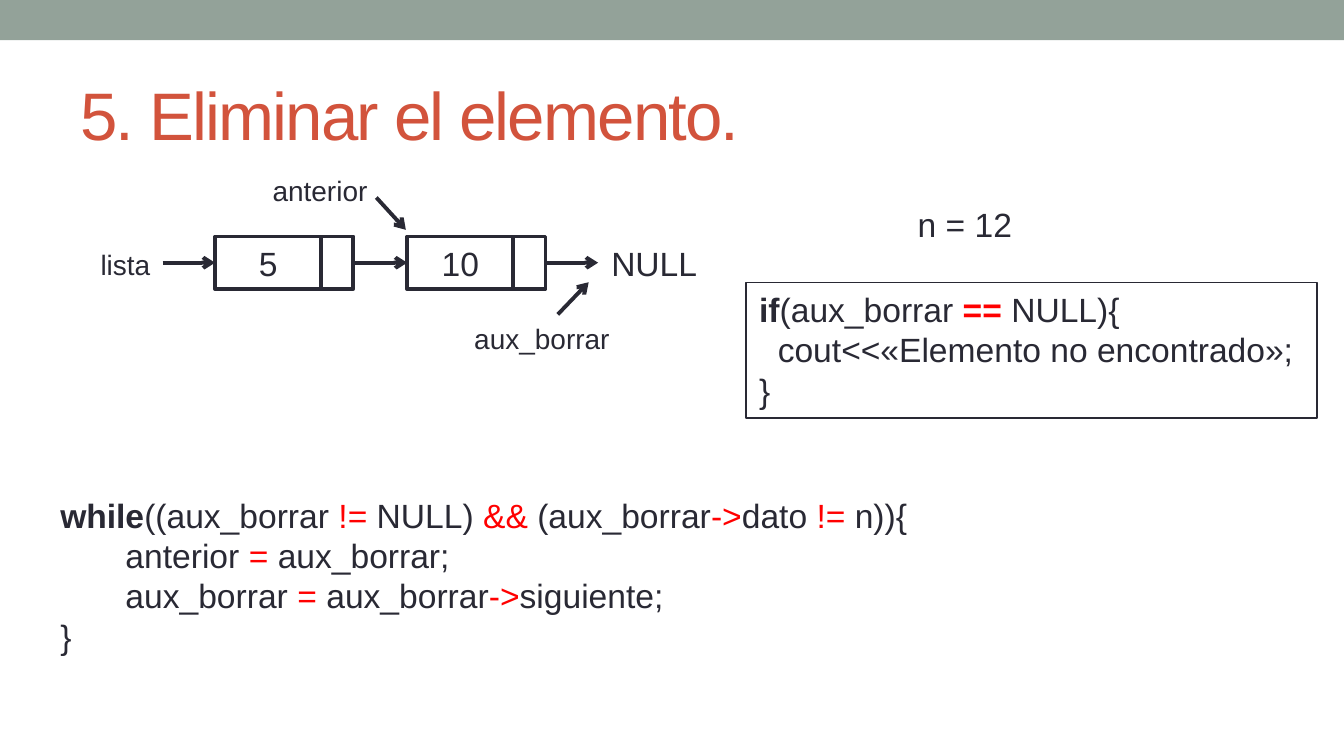
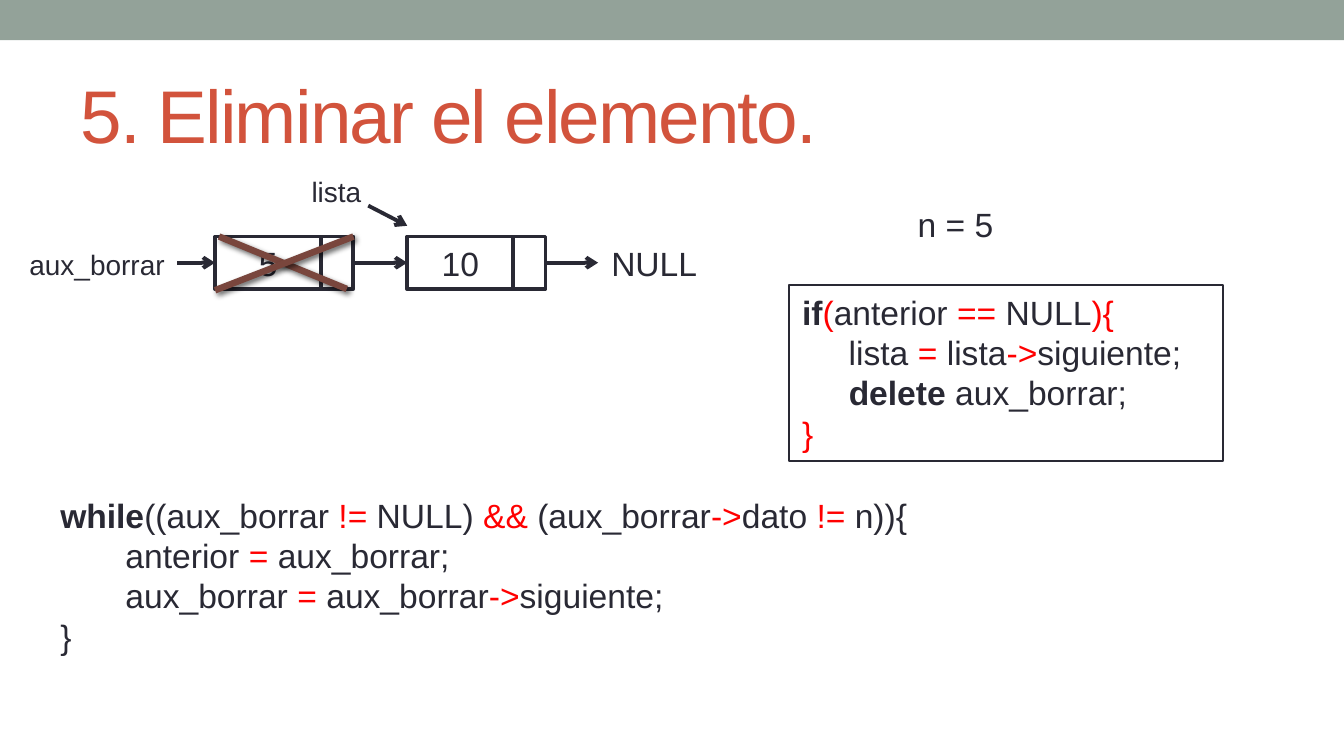
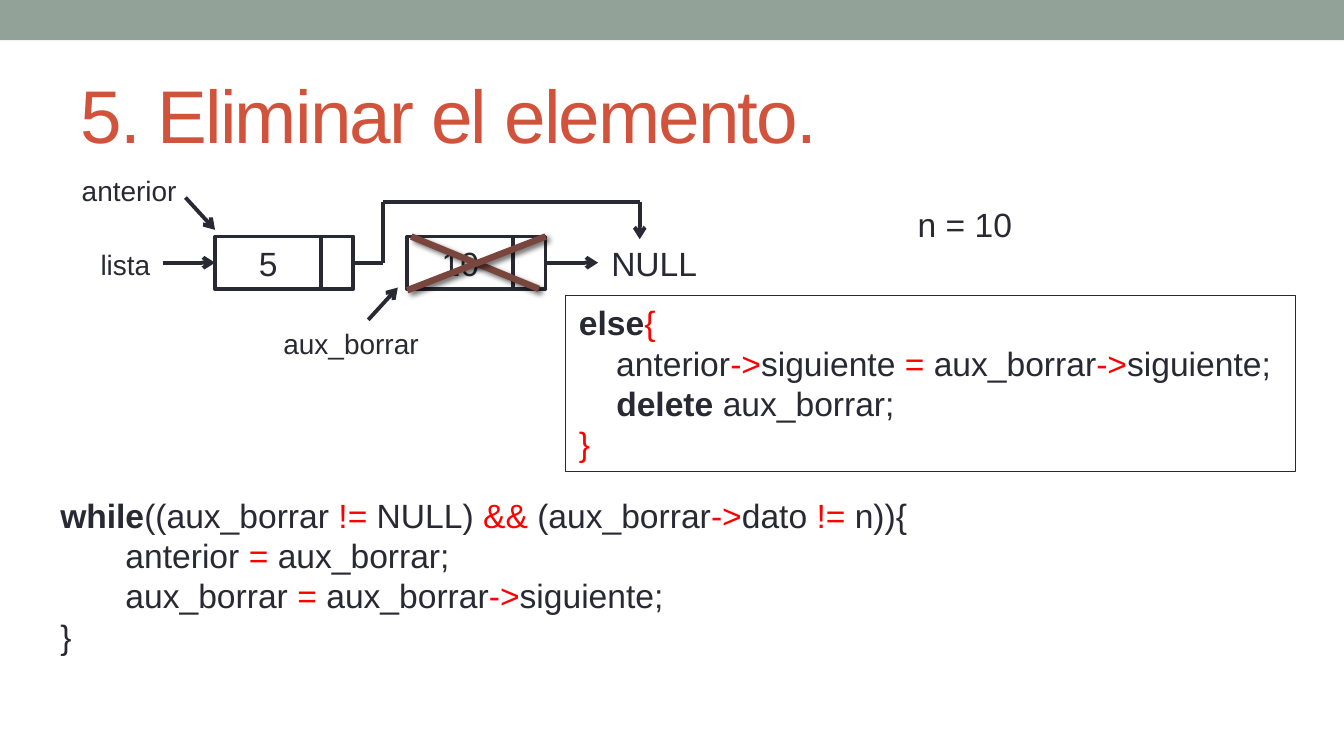
"""Builds three slides on deleting an element from a linked list."""
import itertools

import lxml.etree
import pptx
import pptx.dml.color
import pptx.enum.shapes
import pptx.enum.text
import pptx.oxml.ns
import pptx.util

RGB = pptx.dml.color.RGBColor
INK = RGB(0x29, 0x29, 0x34)
RED = RGB(0xFF, 0x00, 0x00)
BAND = RGB(0x93, 0xA2, 0x99)
RUST = RGB(0xD2, 0x53, 0x3C)
CROSS = RGB(0x79, 0x46, 0x3D)
WHITE = RGB(0xFF, 0xFF, 0xFF)

KEY = {"bold": True}
OP = {"color": RED}
KEY_OP = {"bold": True, "color": RED}

WIDTH = 10
HEIGHT = WIDTH * 9 / 16
NODE_LEFT, NODE_TOP, NODE_W, NODE_H = 1.6, 1.76, 1.03, 0.39
NODE_PITCH, DATA_W = 1.43, 0.79
MIDDLE = NODE_TOP + NODE_H / 2
NULL_LEFT = 4.45
LABEL_W = {"lista": 0.73, "anterior": 0.96, "aux_borrar": 1.35}
VALUES = ["5", "10"]
TITLE = "5. Eliminar el elemento."

SEARCH_LOOP = [
    [("while", KEY), "((aux_borrar ", ("!=", OP), " NULL) ", ("&&", OP), " (aux_borrar",
     ("->", OP), "dato ", ("!=", OP), " n)){"],
    ["       anterior ", ("= ", OP), "aux_borrar;"],
    ["       aux_borrar ", ("= ", OP), "aux_borrar", ("->", OP), "siguiente;"],
    ["}"],
]

LISTA_FIRST = ("lista", (0.65, 1.79), (1.21, MIDDLE), 0)

CASES = [
    {
        "title_size": 36,
        "wanted": "n = 12",
        "pointers": [
            LISTA_FIRST,
            ("aux_borrar", (3.43, 2.34), (4.15, 2.34), (4.38, 2.1)),
            ("anterior", (1.93, 1.24), (2.8, 1.47), (3.02, 1.71)),
        ],
        "code_at": (5.55, 2.1, 4.25, 1.01),
        "code": [
            [("if", KEY), "(aux_borrar ", ("==", KEY_OP), " NULL){"],
            ["  cout<<«Elemento no encontrado»;"],
            ["}"],
        ],
    },
    {
        "title_size": 40,
        "wanted": "n = 5",
        "pointers": [
            ("lista", (2.22, 1.25), (2.74, 1.53), (3.03, 1.68)),
            ("aux_borrar", (0.12, 1.79), (1.32, MIDDLE), 0),
        ],
        "code_at": (5.87, 2.12, 3.23, 1.31),
        "code": [
            [("if", KEY), ("(", OP), "anterior ", ("==", OP), " NULL", ("){", OP)],
            ["     lista ", ("=", OP), " lista", ("->", OP), "siguiente;"],
            ["     ", ("delete ", KEY), "aux_borrar;"],
            [("}", OP)],
        ],
        "deleted": 0,
    },
    {
        "title_size": 40,
        "wanted": "n = 10",
        "pointers": [
            LISTA_FIRST,
            ("aux_borrar", (2.01, 2.38), (2.74, 2.38), (2.96, 2.14)),
            ("anterior", (0.51, 1.24), (1.38, 1.47), (1.6, 1.71)),
        ],
        "code_at": (4.21, 2.2, 5.43, 1.31),
        "code": [
            [("else", KEY), ("{", OP)],
            ["    anterior", ("->", OP), "siguiente ", ("= ", OP), "aux_borrar", ("->", OP),
             "siguiente;"],
            ["    ", ("delete ", KEY), "aux_borrar;"],
            [("}", OP)],
        ],
        "deleted": 1,
        "detour": [(2.63, MIDDLE), (2.85, MIDDLE), (2.85, 1.5), (4.76, 1.5), (4.76, 1.78)],
    },
]


def inches(*lengths):
    return [pptx.util.Inches(length) for length in lengths]


def write(slide, at, lines, size=18, color=INK, align="LEFT", anchor="TOP",
          tracking=None, border=False, grow=True):
    box = slide.shapes.add_textbox(*inches(*at))
    if border:
        box.line.color.rgb = INK
        box.line.width = pptx.util.Pt(0.75)
    frame = box.text_frame
    frame.word_wrap = True
    frame.vertical_anchor = getattr(pptx.enum.text.MSO_ANCHOR, anchor)
    if grow:
        frame.auto_size = pptx.enum.text.MSO_AUTO_SIZE.SHAPE_TO_FIT_TEXT
    for number, line in enumerate(lines):
        paragraph = frame.add_paragraph() if number else frame.paragraphs[0]
        paragraph.alignment = getattr(pptx.enum.text.PP_ALIGN, align)
        for piece in line:
            words, style = (piece, {}) if isinstance(piece, str) else piece
            run = paragraph.add_run()
            run.text = words
            run.font.name = "Arial"
            run.font.size = pptx.util.Pt(size)
            run.font.bold = style.get("bold", False)
            run.font.color.rgb = style.get("color", color)
            if tracking:
                run.font._element.set("spc", str(tracking))


def add_xml(parent, tag, **attributes):
    child = lxml.etree.SubElement(parent, pptx.oxml.ns.qn(tag))
    for key, value in attributes.items():
        child.set(key, str(value))
    return child


def draw_line(slide, start, end, color=INK, width=2.08, arrow=False, shadow=False):
    line = slide.shapes.add_connector(
        pptx.enum.shapes.MSO_CONNECTOR.STRAIGHT, *inches(*start, *end))
    line.line.color.rgb = color
    line.line.width = pptx.util.Pt(width)
    if arrow:
        add_xml(line.line._get_or_add_ln(), "a:tailEnd", type="arrow")
    effects = add_xml(line._element.spPr, "a:effectLst")
    if shadow:
        cast = add_xml(effects, "a:outerShdw", blurRad=38100, dist=25400, dir=2700000)
        add_xml(add_xml(cast, "a:srgbClr", val="000000"), "a:alpha", val=60000)
    return line


def draw_box(slide, at, fill, outline=None):
    box = slide.shapes.add_shape(pptx.enum.shapes.MSO_SHAPE.RECTANGLE, *inches(*at))
    box.shadow.inherit = False
    box.fill.solid()
    box.fill.fore_color.rgb = fill
    if outline:
        box.line.color.rgb = outline
        box.line.width = pptx.util.Pt(2.08)
    else:
        box.line.fill.background()
    return box


def node_left(index):
    return NODE_LEFT + index * NODE_PITCH


def draw_node(slide, index, value):
    left = node_left(index)
    node = draw_box(slide, (left, NODE_TOP, NODE_W, NODE_H), WHITE, INK)
    divider = left + DATA_W
    draw_line(slide, (divider, NODE_TOP), (divider, NODE_TOP + NODE_H))
    write(slide, (left, NODE_TOP, DATA_W, 0.4), [[value]], align="CENTER")
    return node


def draw_links(slide, nodes, detour):
    if detour:
        for start, end in itertools.pairwise(detour):
            segment = draw_line(slide, start, end, arrow=end == detour[-1])
            if start == detour[0]:
                segment.begin_connect(nodes[0], 3)
    else:
        link = draw_line(slide, (node_left(0) + NODE_W, MIDDLE), (node_left(1), MIDDLE),
                         arrow=True)
        link.begin_connect(nodes[0], 3)
        link.end_connect(nodes[1], 1)
    last = draw_line(slide, (node_left(1) + NODE_W, MIDDLE), (NULL_LEFT, MIDDLE), arrow=True)
    last.begin_connect(nodes[1], 3)


def draw_pointer(slide, nodes, label, label_at, start, target):
    write(slide, (*label_at, LABEL_W[label], 0.35), [[label]], size=15)
    to_node = isinstance(target, int)
    end = (node_left(target), MIDDLE) if to_node else target
    pointer = draw_line(slide, start, end, arrow=True)
    if to_node:
        pointer.end_connect(nodes[target], 1)


def cross_out(slide, index):
    left, bottom = node_left(index), NODE_TOP + NODE_H
    strokes = [((left + 0.03, NODE_TOP), (left + 0.98, bottom)),
               ((left, bottom + 0.01), (left + 1.03, NODE_TOP))]
    for start, end in strokes:
        draw_line(slide, start, end, color=CROSS, width=3.5, shadow=True)


def build_case(slide, case):
    draw_box(slide, (0, 0, WIDTH, 0.3), BAND)
    write(slide, (0.5, 0.44, 9, 0.81), [[TITLE]], size=case["title_size"], color=RUST,
          anchor="MIDDLE", tracking=-100, grow=False)
    nodes = [draw_node(slide, index, value) for index, value in enumerate(VALUES)]
    draw_links(slide, nodes, case.get("detour"))
    write(slide, (NULL_LEFT, NODE_TOP, 0.87, 0.4), [["NULL"]])
    for pointer in case["pointers"]:
        draw_pointer(slide, nodes, *pointer)
    write(slide, (6.73, 1.47, 1.02, 0.4), [[case["wanted"]]])
    write(slide, (0.35, 3.63, 7.09, 1.31), SEARCH_LOOP)
    write(slide, case["code_at"], case["code"], border=True)
    if "deleted" in case:
        cross_out(slide, case["deleted"])


def main():
    deck = pptx.Presentation()
    deck.slide_width, deck.slide_height = inches(WIDTH, HEIGHT)
    for case in CASES:
        build_case(deck.slides.add_slide(deck.slide_layouts[6]), case)
    deck.save("out.pptx")


if __name__ == "__main__":
    main()
